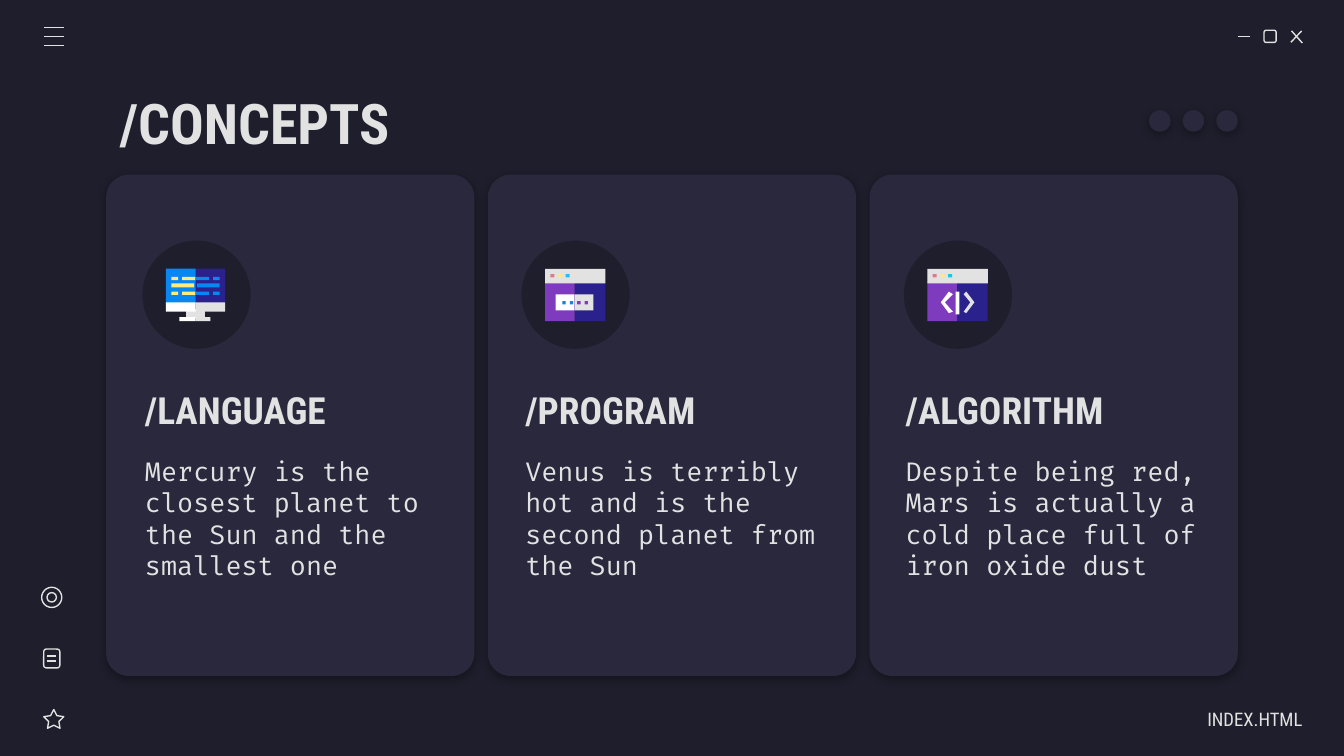
from lxml.etree import SubElement
from pptx import Presentation
from pptx.dml.color import RGBColor
from pptx.enum.shapes import MSO_CONNECTOR, MSO_SHAPE as Preset
from pptx.enum.text import MSO_ANCHOR, MSO_AUTO_SIZE, PP_ALIGN
from pptx.oxml.ns import qn
from pptx.util import Inches, Pt

# The slide is a grid of 1000 columns by 562.5 rows, 100 to the inch
COLUMNS, ROWS = 1000, 562.5
HEADING_FONT, BODY_FONT = "Roboto Condensed", "Fira Code"
COLORS = {
    "background": "1E1E2C", "card": "29283D", "light": "E2E2E2",
    "white": "FFFFFF", "navy": "2B218D", "purple": "7E3BBE",
    "blue": "0887F2", "cyan": "24BFEB", "yellow": "FFEA7D",
    "pink": "E07A88", "shadow": "000000",
}

# Icon pieces: left, top, width, height, colour, from the icon's corner
MONITOR = [
    (22, 0, 22, 26, "navy"), (0, 0, 22, 26, "blue"),
    (15, 30, 14, 7, "light"),
    (22, 36, 11, 3, "light"), (10, 36, 12, 3, "white"),
    (22, 25, 22, 7, "light"), (0, 25, 22, 7, "white"),
    (23, 11, 17, 3, "blue"), (4, 11, 17, 3, "yellow"),
] + [
    (left, top, width, 2.5, color)
    for top in (6, 17)
    for left, width, color in ((4, 5, "yellow"), (12, 10, "yellow"),
                               (22, 10, "blue"), (35, 5, "blue"))
]
WINDOW = [
    (22, 10, 23, 29, "navy"), (0, 10, 22, 29, "purple"),
    (0, 0, 45, 11, "light"),
    (4, 4, 3, 2.5, "pink"), (10, 4, 3, 2.5, "yellow"),
    (15.5, 4, 3, 2.5, "cyan"),
]
PASSWORD = WINDOW + [
    (22, 19, 14, 12, "light"), (8, 19, 14, 12, "white"),
] + [
    (13 + 5.5 * index, 24, 2.5, 2.5, color)
    for index, color in enumerate(("blue", "blue", "purple", "purple"))
]
CODE = WINDOW + [(21, 17, 3, 17, "white")]
CHEVRONS = [
    ([(16, 17), (10, 25), (16, 33), (19, 32), (13, 25), (19, 19)], "white"),
    ([(29, 17), (27, 19), (32, 25), (27, 32), (29, 33), (35, 25)], "light"),
]

# Heading, description, badge left, icon pieces, icon outlines
CARDS = [
    ("/LANGUAGE",
     "Mercury is the closest planet to the Sun and the smallest one",
     106, MONITOR, []),
    ("/PROGRAM",
     "Venus is terribly hot and is the second planet from the Sun",
     388, PASSWORD, []),
    ("/ALGORITHM",
     "Despite being red, Mars is actually a cold place full of iron oxide dust",
     672.5, CODE, CHEVRONS),
]


def grid(*cells):
    return [Inches(cell / 100) for cell in cells]


def rgb(name):
    return RGBColor.from_string(COLORS[name])


def add_filled(shapes, preset, box, color):
    shape = shapes.add_shape(preset, *grid(*box))
    paint(shape, color)
    return shape


def paint(shape, color):
    shape.shadow.inherit = False
    shape.fill.solid()
    shape.fill.fore_color.rgb = rgb(color)
    shape.line.fill.background()


def add_outlined(shapes, preset, box):
    shape = shapes.add_shape(preset, *grid(*box))
    shape.shadow.inherit = False
    shape.fill.background()
    shape.line.color.rgb = rgb("light")
    shape.line.width = Pt(0.75)
    return shape


def add_line(shapes, *ends):
    line = shapes.add_connector(MSO_CONNECTOR.STRAIGHT, *grid(*ends))
    line.line.color.rgb = rgb("light")
    line.line.width = Pt(0.75)
    SubElement(line._element.spPr, qn("a:effectLst"))


def add_polygon(shapes, points, color):
    start, *others = [grid(*point) for point in points]
    builder = shapes.build_freeform(*start)
    builder.add_line_segments(others, close=True)
    paint(builder.convert_to_shape(), color)


def add_soft_shadow(shape):
    effects = shape._element.spPr.find(qn("a:effectLst"))
    shadow = SubElement(effects, qn("a:outerShdw"), blurRad=str(Pt(4.5)),
                        dist=str(Pt(1.5)), dir="5400000", algn="bl",
                        rotWithShape="0")
    color = SubElement(shadow, qn("a:srgbClr"), val=COLORS["shadow"])
    SubElement(color, qn("a:alpha"), val="30000")


def write(shape, box, text, size, font, bold=False, align=PP_ALIGN.LEFT,
          right_inset=10):
    shape.left, shape.top, shape.width, shape.height = grid(*box)
    frame = shape.text_frame
    frame.word_wrap = True
    frame.auto_size = MSO_AUTO_SIZE.NONE
    frame.vertical_anchor = MSO_ANCHOR.MIDDLE
    frame.margin_left = frame.margin_top = frame.margin_bottom = Inches(0.1)
    frame.margin_right = Inches(right_inset / 100)
    paragraph = frame.paragraphs[0]
    paragraph.alignment = align
    run = paragraph.add_run()
    run.text = text
    run.font.name, run.font.size, run.font.bold = font, Pt(size), bold
    run.font.color.rgb = rgb("light")


def add_text(shapes, box, *args, **options):
    write(shapes.add_textbox(*grid(*box)), box, *args, **options)


def add_icon(shapes, left, top, pieces, outlines):
    icon = shapes.add_group_shape().shapes
    for x, y, width, height, color in pieces:
        add_filled(icon, Preset.RECTANGLE,
                   (left + x, top + y, width, height), color)
    for points, color in outlines:
        add_polygon(icon, [(left + x, top + y) for x, y in points], color)


def add_card(shapes, index, heading, description, badge_left, pieces, outlines):
    card = add_filled(shapes, Preset.ROUNDED_RECTANGLE,
                      (79 + 284 * index, 130, 274, 373), "card")
    card.adjustments[0] = 0.062
    add_soft_shadow(card)
    add_filled(shapes, Preset.OVAL, (badge_left, 179, 80.5, 80.5), "background")
    add_icon(shapes, badge_left + 17.5, 200, pieces, outlines)
    text_left = 98 + 283 * index
    add_text(shapes, (text_left, 279, 238, 51), heading, 20, HEADING_FONT, bold=True)
    add_text(shapes, (text_left, 331, 238, 109), description, 14, BODY_FONT)


def add_window_controls(shapes):
    # Menu
    for row in (20.5, 27, 34):
        add_line(shapes, 32.5, row, 47.5, row)
    # Minimise, maximise, close
    add_line(shapes, 921, 27, 930, 27)
    add_outlined(shapes, Preset.ROUNDED_RECTANGLE, (940.5, 22.5, 9, 9))
    add_line(shapes, 961, 23, 969, 32)
    add_line(shapes, 968.5, 23, 960.5, 31.5)
    # Dots
    for index in range(3):
        add_soft_shadow(add_filled(shapes, Preset.OVAL,
                                   (855 + 25 * index, 82, 16, 16), "card"))


def add_side_icons(shapes):
    # Target
    add_outlined(shapes, Preset.OVAL, (31, 437, 15, 15))
    add_outlined(shapes, Preset.OVAL, (35, 441, 7, 7))
    # Document
    add_outlined(shapes, Preset.ROUNDED_RECTANGLE, (32.5, 483, 12, 14))
    for row in (488, 492):
        add_line(shapes, 35, row, 42, row)
    # Star
    star = add_outlined(shapes, Preset.STAR_5_POINT, (32.5, 528, 15, 14))
    star.adjustments[0] = 0.254


def main():
    presentation = Presentation()
    presentation.slide_width, presentation.slide_height = grid(COLUMNS, ROWS)
    slide = presentation.slides.add_slide(presentation.slide_layouts[5])
    slide.background.fill.solid()
    slide.background.fill.fore_color.rgb = rgb("background")
    shapes = slide.shapes

    write(shapes.title, (79, 59, 497, 63), "/CONCEPTS", 30, HEADING_FONT, bold=True)
    for index, card in enumerate(CARDS):
        add_card(shapes, index, *card)
    add_window_controls(shapes)
    add_side_icons(shapes)
    add_text(shapes, (852, 520, 117, 30), "INDEX.HTML", 10, HEADING_FONT,
             align=PP_ALIGN.RIGHT, right_inset=0)
    presentation.save("out.pptx")


if __name__ == "__main__":
    main()
